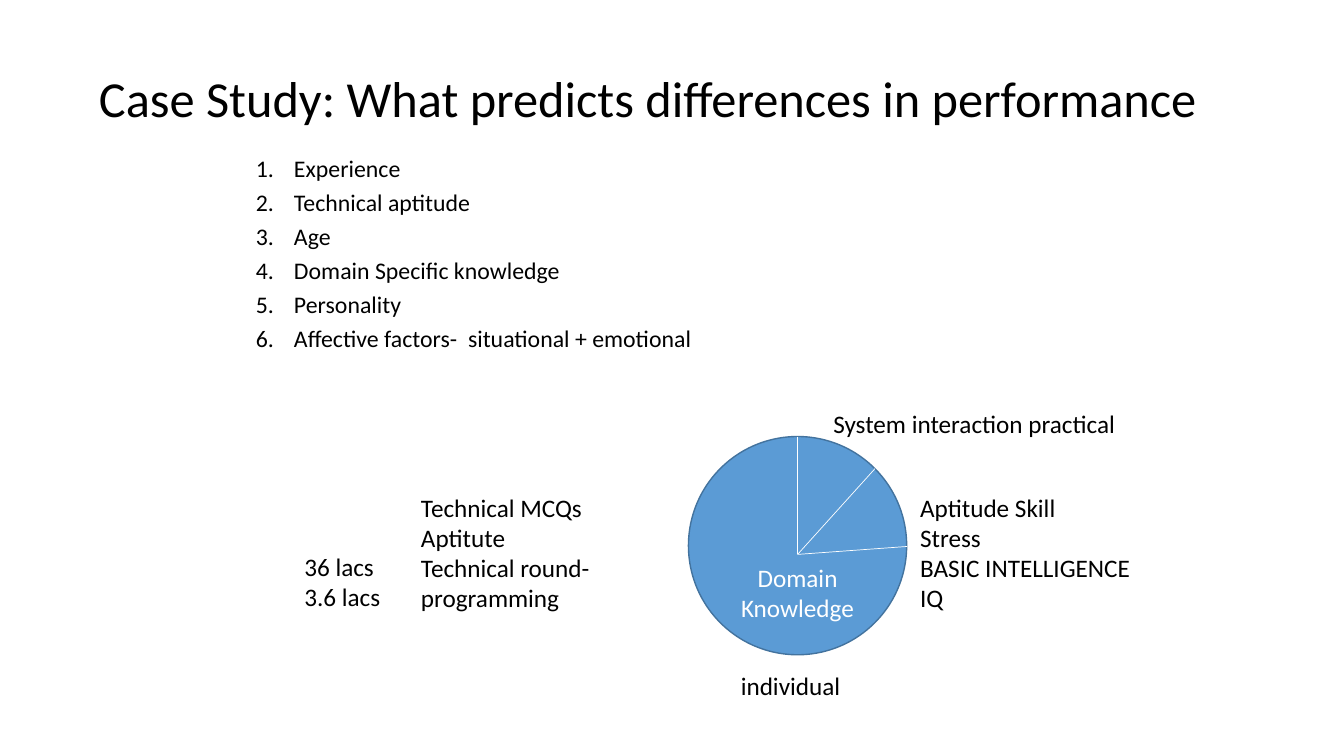
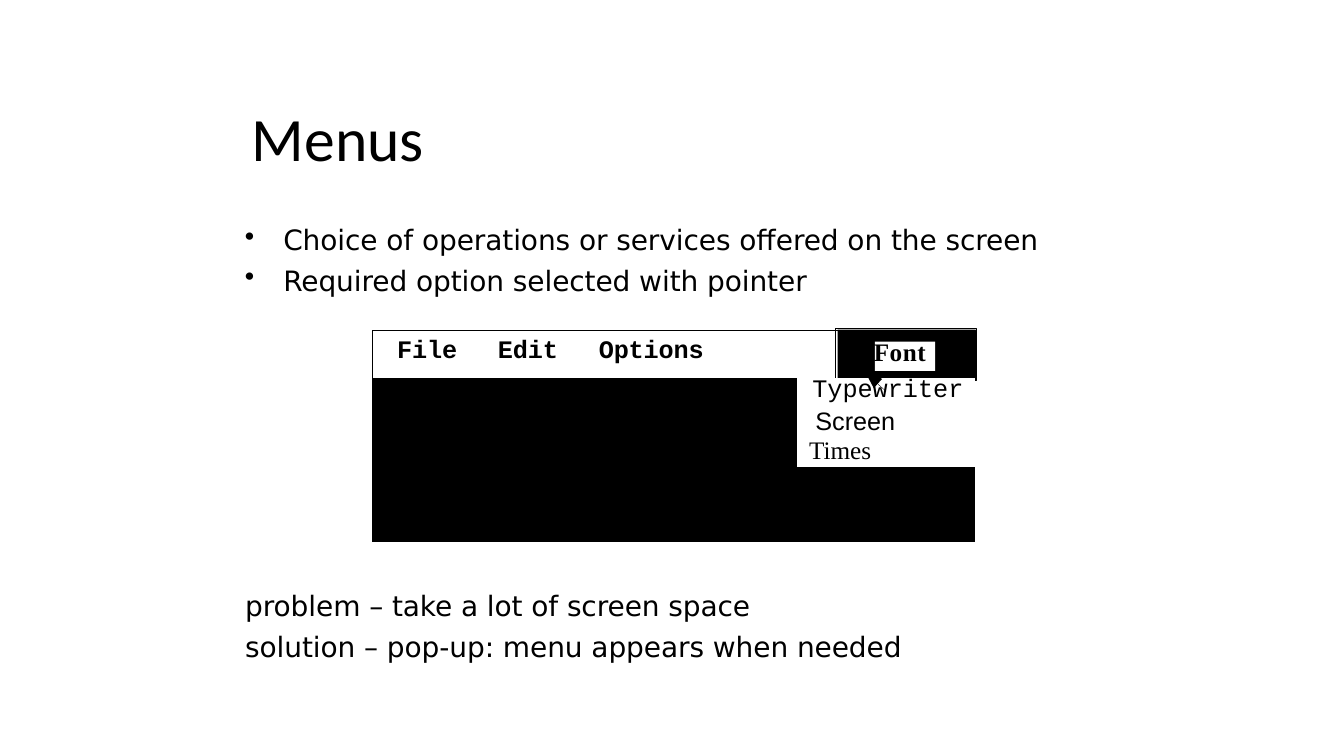
"""Builds two slides: predictors of performance, and menus in an interface."""
from lxml.etree import SubElement
from pptx import Presentation
from pptx.dml.color import RGBColor
from pptx.enum.shapes import MSO_CONNECTOR, MSO_SHAPE
from pptx.enum.text import MSO_ANCHOR, MSO_AUTO_SIZE, PP_ALIGN
from pptx.oxml.ns import qn
from pptx.util import Cm, Pt

COLORS = {"ink": "000000", "paper": "FFFFFF", "pie": "5B9BD5", "pie_edge": "43739E"}
NO_GRID_STYLE = "{2D5ABB26-0587-4C30-8999-92F81FD0307C}"


def write(frame, text, size, font="Calibri", color="ink", bold=False, before=0,
          spacing=None, indent=0, hanging=0, marker=None, tabs=(), tracking=0,
          align=PP_ALIGN.LEFT):
    """Add one paragraph holding one run."""
    first = frame.paragraphs[0]
    paragraph = frame.add_paragraph() if first.runs else first
    paragraph.alignment = align
    paragraph.space_before = Pt(before)
    if spacing:
        paragraph.line_spacing = spacing
    properties = paragraph._p.get_or_add_pPr()
    properties.set("marL", str(Cm(indent)))
    properties.set("indent", str(-Cm(hanging)))
    if marker == "number":
        SubElement(properties, qn("a:buAutoNum"), type="arabicPeriod")
    elif marker:
        SubElement(properties, qn("a:buChar"), char=marker)
    else:
        SubElement(properties, qn("a:buNone"))
    if tabs:
        stops = SubElement(properties, qn("a:tabLst"))
        for position in tabs:
            SubElement(stops, qn("a:tab"), pos=str(Cm(position)), algn="l")
    run = paragraph.add_run()
    run.text = text
    run.font.size = Pt(size)
    run.font.name = font
    run.font.bold = bold
    run.font.color.rgb = RGBColor.from_string(COLORS[color])
    if tracking:
        run._r.get_or_add_rPr().set("spc", str(tracking))


def paint(shape, fill=None, line=None, width=0.25):
    """Set the fill and outline of a shape, or only the line of a connector."""
    if shape.shape_type is not None and hasattr(shape, "fill"):
        shape.shadow.inherit = False
        if fill:
            shape.fill.solid()
            shape.fill.fore_color.rgb = RGBColor.from_string(COLORS[fill])
        else:
            shape.fill.background()
    else:
        SubElement(shape._element.spPr, qn("a:effectLst"))
    if line:
        shape.line.color.rgb = RGBColor.from_string(COLORS[line])
        shape.line.width = Pt(width)
    else:
        shape.line.fill.background()


presentation = Presentation()
presentation.slide_width = Cm(33.87)
presentation.slide_height = Cm(19.05)

slides = []
for heading, size, spacing, box in [
    ("Case Study: What predicts differences in performance", 36, 0.9,
     (2.24, 1.7, 30.07, 1.7)),
    ("Menus", 44, 1.0, (6.35, 2.49, 11.23, 1.9)),
]:
    slide = presentation.slides.add_slide(presentation.slide_layouts[5])
    title = slide.shapes.title
    title.left, title.top, title.width, title.height = map(Cm, box)
    title.text_frame.auto_size = MSO_AUTO_SIZE.NONE
    title.text_frame.vertical_anchor = MSO_ANCHOR.MIDDLE
    write(title.text_frame, heading, size, spacing=spacing)
    slides.append(slide)
case_study, menus = slides
menus.shapes.title.text_frame.margin_left = 0

predictors = case_study.shapes.add_textbox(Cm(6.2), Cm(3.94), Cm(21.46), Cm(5.13)).text_frame
predictors.word_wrap = True
for predictor in ["Experience", "Technical aptitude", "Age", "Domain Specific knowledge",
                  "Personality", "Affective factors-  situational + emotional"]:
    write(predictors, predictor, 17, before=10, spacing=0.7, indent=0.96, hanging=0.96,
          marker="number")

pie = case_study.shapes.add_shape(MSO_SHAPE.OVAL, Cm(17.35), Cm(11), Cm(5.5), Cm(5.5))
paint(pie, "pie", "pie_edge", 1)
pie.text_frame.word_wrap = True
pie.text_frame.vertical_anchor = MSO_ANCHOR.BOTTOM
pie.text_frame.margin_bottom = 0
write(pie.text_frame, "Domain Knowledge", 18, color="paper", align=PP_ALIGN.CENTER)

for rim_x, rim_y in [(20.1, 11), (22.86, 13.77), (22.05, 11.81)]:
    divider = case_study.shapes.add_connector(
        MSO_CONNECTOR.STRAIGHT, Cm(rim_x), Cm(rim_y), Cm(20.1), Cm(13.97))
    paint(divider, line="paper", width=0.5)

for box, lines in [
    ((20.75, 10.16, 7.7, 1.02), ["System interaction practical"]),
    ((22.94, 12.27, 5.84, 3.33), ["Aptitude Skill", "Stress", "BASIC INTELLIGENCE", "IQ"]),
    ((7.42, 13.77, 2.44, 1.8), ["36 lacs", "3.6 lacs"]),
    ((18.42, 16.76, 3.05, 1.02), ["individual"]),
    ((10.36, 12.27, 4.95, 3.33),
     ["Technical MCQs", "Aptitute", "Technical round-", "programming"]),
]:
    label = case_study.shapes.add_textbox(*map(Cm, box)).text_frame
    label.word_wrap = False
    label.auto_size = MSO_AUTO_SIZE.SHAPE_TO_FIT_TEXT
    for line in lines:
        write(label, line, 18)

for box, marker, lines in [
    ((6.15, 5.41, 20.22, 2.11), "•",
     ["Choice of operations or services offered on the screen",
      "Required option selected with pointer"]),
    ((6.15, 14.63, 17.5, 2.11), None,
     ["problem – take a lot of screen space",
      "solution – pop-up: menu appears when needed"]),
]:
    points = menus.shapes.add_textbox(*map(Cm, box)).text_frame
    points.word_wrap = True
    points.margin_left = points.margin_right = points.margin_bottom = 0
    points.margin_top = Cm(0.2)
    for line, before in zip(lines, (6, 5)):
        write(points, line, 20, "DejaVu Sans", before=before, marker=marker, tracking=-8,
              indent=0.99 if marker else 0.03, hanging=0.97 if marker else 0)

for box, fill, line in [
    ((21.11, 8.31, 3.48, 1.24), "ink", None),
    ((21.06, 8.26, 3.53, 1.32), None, "ink"),
    ((9.37, 8.31, 15.21, 1.27), None, "ink"),
    ((22.05, 8.61, 1.52, 0.74), "paper", None),
]:
    paint(menus.shapes.add_shape(MSO_SHAPE.RECTANGLE, *map(Cm, box)), fill, line)

screen = menus.shapes.add_table(3, 3, Cm(9.37), Cm(8.31), Cm(15.19), Cm(5.34)).table
screen.first_row = screen.horz_banding = False
screen._tbl.tblPr.find(qn("a:tableStyleId")).text = NO_GRID_STYLE
for column, width in zip(screen.columns, (10.72, 0.94, 3.53)):
    column.width = Cm(width)
for row, height in zip(screen.rows, (1.22, 2.24, 1.88)):
    row.height = Cm(height)
for cell in screen.iter_cells():
    cell.margin_left = cell.margin_right = cell.margin_top = cell.margin_bottom = 0
    cell.fill.background()

menu_bar, font_button = screen.cell(0, 0), screen.cell(0, 2)
backdrop, dropdown, lower_screen = screen.cell(1, 0), screen.cell(1, 1), screen.cell(2, 0)
menu_bar.merge(screen.cell(0, 1))
dropdown.merge(screen.cell(1, 2))
lower_screen.merge(screen.cell(2, 2))
for cell, fill in [(backdrop, "ink"), (dropdown, "paper"), (lower_screen, "ink")]:
    cell.fill.solid()
    cell.fill.fore_color.rgb = RGBColor.from_string(COLORS[fill])

menu_bar.margin_top = Cm(0.2)
font_button.margin_top = Cm(0.23)
write(menu_bar.text_frame, "File\tEdit\tOptions", 18, "Courier New", bold=True, before=5.8,
      indent=0.64, tabs=(4.45, 8.23), tracking=-10)
write(font_button.text_frame, "Font", 18, "Times New Roman", bold=True, before=6.8,
      indent=0.99, tracking=40)
for choice, font, indent, spacing, before in [
    ("Typewriter", "Courier New", 0.38, 19.5, 0),
    ("Screen", "Arial", 0.46, 20.7, 1.3),
    ("Times", "Times New Roman", 0.3, 20.7, 0),
]:
    write(dropdown.text_frame, choice, 18, font, indent=indent, spacing=Pt(spacing),
          before=before)

pointer = menus.shapes.build_freeform(Cm(21.74), Cm(9.25))
pointer.add_line_segments([(Cm(22.02), Cm(9.78)), (Cm(22.23), Cm(9.55))], close=True)
paint(pointer.convert_to_shape(), "ink")
pointer_tail = menus.shapes.add_connector(
    MSO_CONNECTOR.STRAIGHT, Cm(22.07), Cm(9.63), Cm(22.33), Cm(9.86))
paint(pointer_tail, line="ink")

presentation.save("out.pptx")
